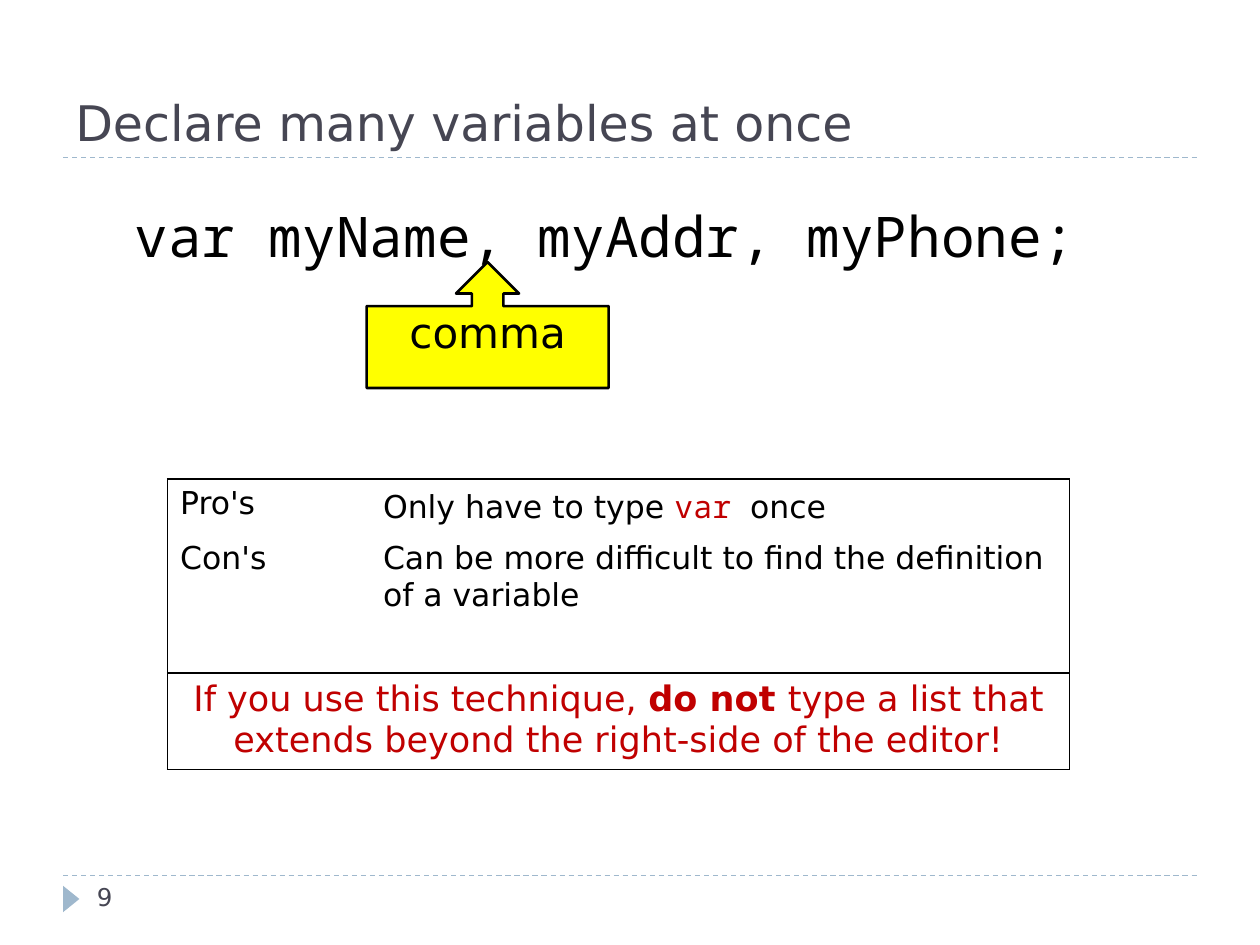
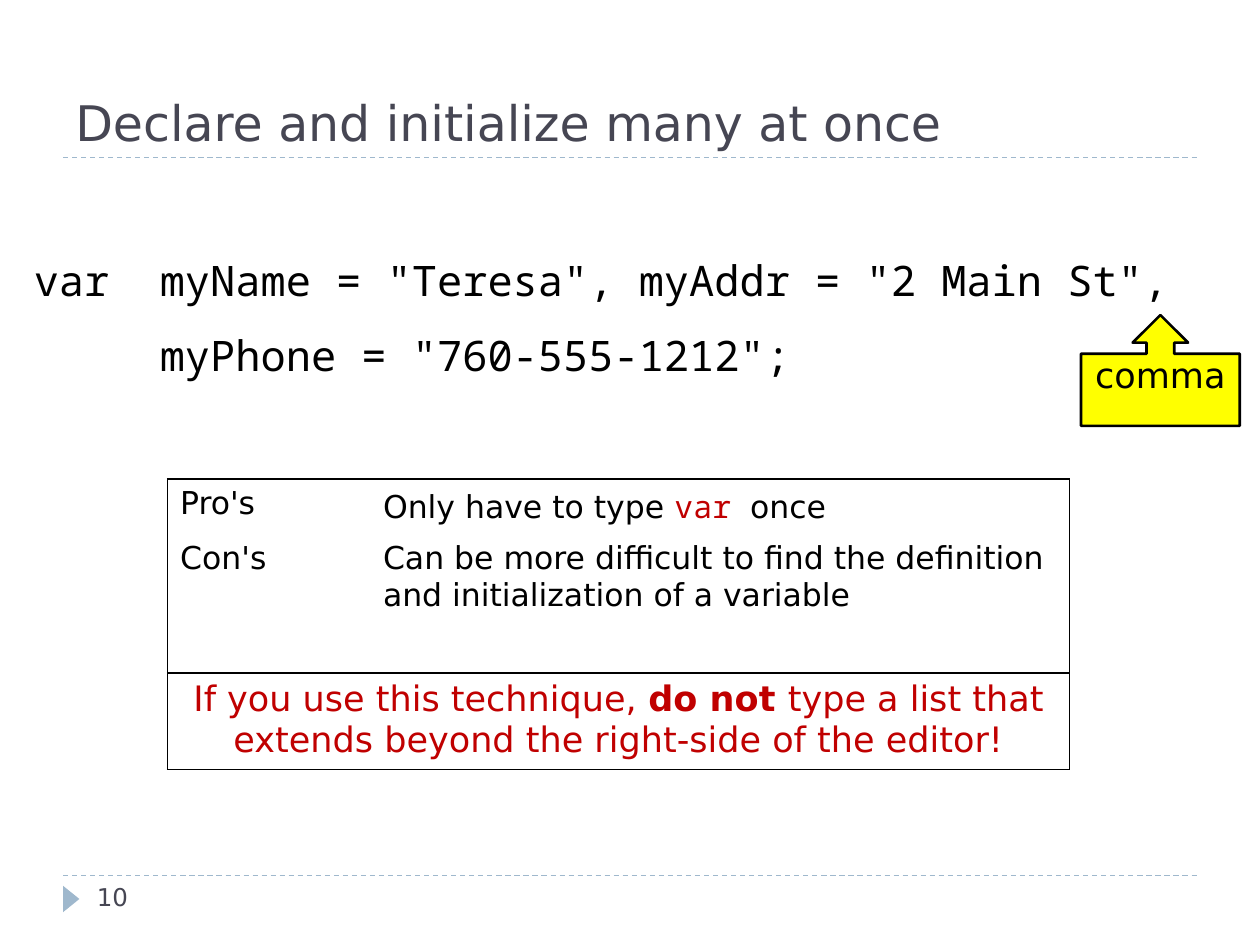
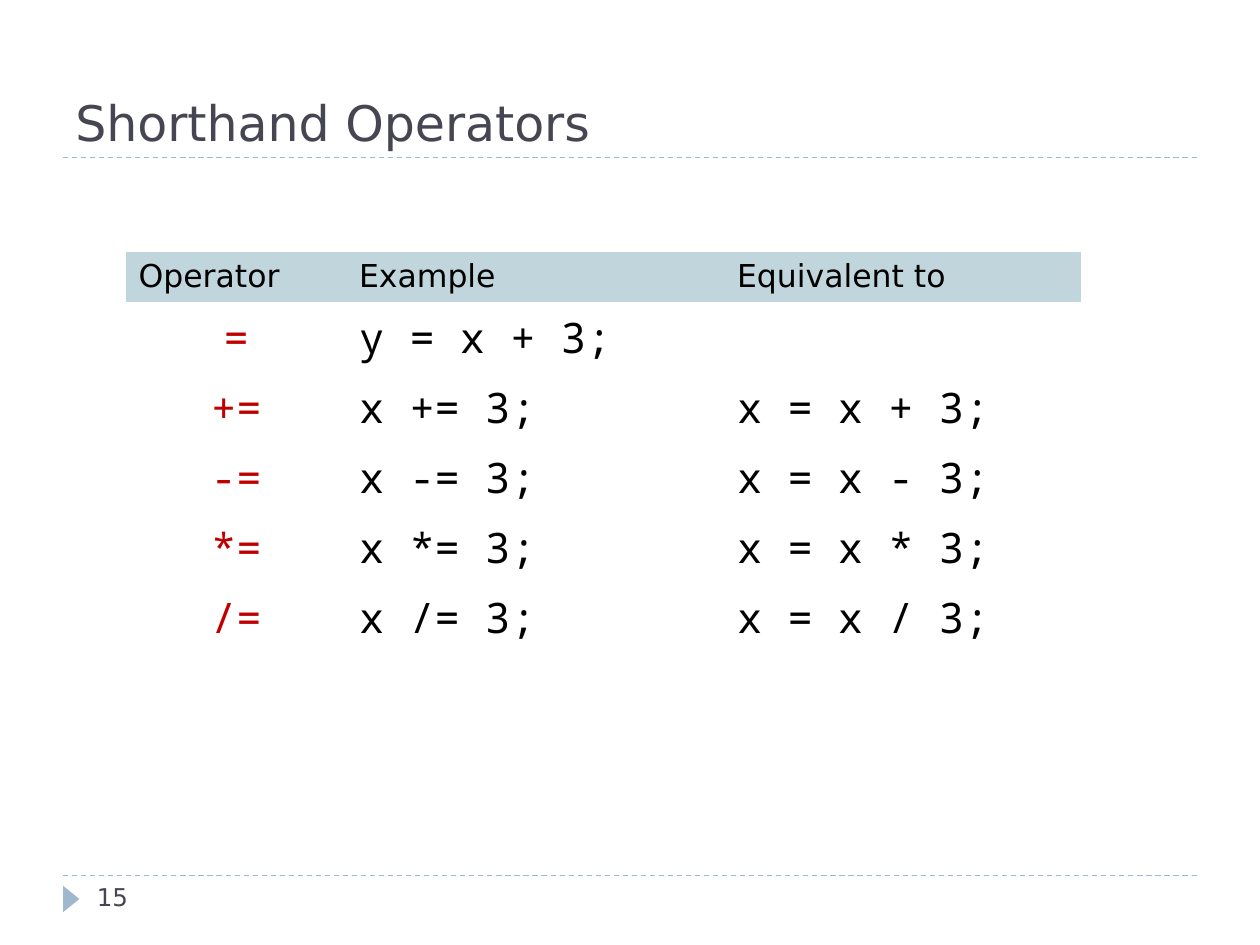
"""Build three slides on declaring variables and shorthand operators."""
from typing import NamedTuple

from lxml import etree
from pptx import Presentation
from pptx import util as u
from pptx.dml import color
from pptx.enum import dml, shapes, text
from pptx.oxml import ns

Pt = u.Pt
SANS, MONO = "DejaVu Sans", "Noto Sans Mono"
BLACK, RED, SLATE = "000000", "C00000", "464653"
BLUE, PALE, YELLOW = "9FB8CD", "C0D6DC", "FFFF00"
PLAIN = "{2D5ABB26-0587-4C30-8999-92F81FD0307C}"
LEFT, CENTER = text.PP_ALIGN.LEFT, text.PP_ALIGN.CENTER
TOP, BOTTOM = text.MSO_ANCHOR.TOP, text.MSO_ANCHOR.BOTTOM


class Box(NamedTuple):
    """A place on the slide, in points."""
    x: float
    y: float
    w: float
    h: float

    def emu(self) -> list:
        """Give the four lengths to python-pptx."""
        return [Pt(v) for v in self]


class Run(NamedTuple):
    """A stretch of text in one style."""
    text: str
    size: float = 18
    tint: str = BLACK
    font: str = SANS
    bold: bool = False


class Line(NamedTuple):
    """A line of code with its left margin and first-line indent."""
    text: str
    left: float
    hang: float = 0


class Code(NamedTuple):
    """A block of code lines."""
    lines: list[Line]
    size: float
    top: float


class Call(NamedTuple):
    """A callout that points up at a comma."""
    box: Box
    size: float


class Page(NamedTuple):
    """A slide that shows a way to declare variables."""
    num: str
    title: str
    code: Code
    call: Call
    con: str


TITLE = Box(36, 12.24, 648, 77.76)
BODY = Box(12.24, 95.76, 684, 388.8)
NUM = Box(48.24, 500.4, 156.24, 28.8)
MARK = Box(33.12, 509.04, 15.12, 9.36)
RULES = (500.4, 90)
NOTES = Box(95.76, 273.6, 515.52, 163)
OPS = Box(72, 144, 545.76, 228)

PAGES = [
    Page("9", "Declare many variables at once",
         Code([Line("var myName, myAddr, myPhone;", 57.6)], 32, 0),
         Call(Box(209.52, 149.76, 138.24, 72), 24),
         "Can be more difficult to find the definition of a variable"),
    Page("10", "Declare and initialize many at once",
         Code([Line('var\tmyName = "Teresa", myAddr = "2 Main St",', 72, -72),
               Line('myPhone = "760-555-1212";', 72)], 24, 35),
         Call(Box(617.76, 180, 90.72, 63.36), 20),
         "Can be more difficult to find the definition and "
         "initialization of a variable"),
]
HEADS = ("Operator", "Example", "Equivalent to")
SIGNS = ("+", "-", "*", "/")


def rgb(tint: str) -> color.RGBColor:
    """Turn a hex string into a colour."""
    return color.RGBColor.from_string(tint)


def write(para, runs: list[Run], align=LEFT) -> None:
    """Add runs to a paragraph."""
    para.alignment = align
    for item in runs:
        run = para.add_run()
        run.text = item.text
        font = run.font
        font.name, font.size, font.bold = item.font, Pt(item.size), item.bold
        font.color.rgb = rgb(item.tint)


def label(slide, box: Box, run: Run, anchor=TOP) -> None:
    """Add a text box with one run."""
    frame = slide.shapes.add_textbox(*box.emu()).text_frame
    frame.word_wrap, frame.vertical_anchor = True, anchor
    write(frame.paragraphs[0], [run])


def rule(slide, y: float) -> None:
    """Draw a dashed line across the slide."""
    line = slide.shapes.add_connector(
        shapes.MSO_CONNECTOR.STRAIGHT, Pt(36), Pt(y), Pt(684), Pt(y))
    line.line.color.rgb = rgb(BLUE)
    line.line.width = Pt(0.75)
    line.line.dash_style = dml.MSO_LINE.DASH
    etree.SubElement(line._element.spPr, ns.qn("a:effectLst"))


def shape(slide, kind, box: Box, tint: str):
    """Add a filled shape without line or shadow."""
    item = slide.shapes.add_shape(kind, *box.emu())
    item.shadow.inherit = False
    item.fill.solid()
    item.fill.fore_color.rgb = rgb(tint)
    item.line.fill.background()
    return item


def start(deck, title: str, num: str):
    """Add a slide with its rules, marker, title and number."""
    slide = deck.slides.add_slide(deck.slide_layouts[6])
    for y in RULES:
        rule(slide, y)
    mark = shape(slide, shapes.MSO_SHAPE.ISOSCELES_TRIANGLE, MARK, BLUE)
    mark.rotation = 90
    label(slide, TITLE, Run(title, 28, SLATE), BOTTOM)
    label(slide, NUM, Run(num, 14, SLATE))
    return slide


def listing(slide, code: Code) -> None:
    """Add the lines of code."""
    frame = slide.shapes.add_textbox(*BODY.emu()).text_frame
    frame.word_wrap, frame.margin_top = True, Pt(code.top)
    for i, line in enumerate(code.lines):
        para = frame.add_paragraph() if i else frame.paragraphs[0]
        para.line_spacing = 1.5
        write(para, [Run(line.text, code.size, BLACK, MONO)])
        props = para._p.get_or_add_pPr()
        props.set("marL", str(Pt(line.left)))
        props.set("indent", str(Pt(line.hang)))


def callout(slide, call: Call) -> None:
    """Add a yellow arrow callout."""
    item = shape(slide, shapes.MSO_SHAPE.UP_ARROW_CALLOUT, call.box, YELLOW)
    item.line.color.rgb = rgb(BLACK)
    item.line.width = Pt(1.5)
    frame = item.text_frame
    frame.vertical_anchor, frame.word_wrap = TOP, True
    frame.margin_top = frame.margin_left = frame.margin_right = 0
    write(frame.paragraphs[0], [Run("comma", call.size)], CENTER)


def grid(slide, box: Box, cols: list[float], rows: list[float]):
    """Add a bare table."""
    table = slide.shapes.add_table(len(rows), len(cols), *box.emu()).table
    table._tbl.tblPr.find(ns.qn("a:tableStyleId")).text = PLAIN
    table.first_row = table.horz_banding = False
    for col, width in zip(table.columns, cols):
        col.width = Pt(width)
    for row, height in zip(table.rows, rows):
        row.height = Pt(height)
    for cell in table.iter_cells():
        cell.fill.background()
    return table


def edge(cell, sides: str) -> None:
    """Draw black borders on the given sides, in LRTB order."""
    props = cell._tc.get_or_add_tcPr()
    for i, side in enumerate(sides):
        line = etree.Element(ns.qn(f"a:ln{side}"), w=str(Pt(1)))
        fill = etree.SubElement(line, ns.qn("a:solidFill"))
        etree.SubElement(fill, ns.qn("a:srgbClr"), val=BLACK)
        props.insert(i, line)


def notes(slide, con: str) -> None:
    """Add the table of pros and cons."""
    table = grid(slide, NOTES, [115.92, 399.6], [31.7, 49.2, 28.2, 53.8])
    rows = [
        ([Run("Pro's")], [Run("Only have to type "),
                          Run("var ", tint=RED, font=MONO), Run("once")]),
        ([Run("Con's")], [Run(con)]),
    ]
    for r, row in enumerate(rows):
        for c, runs in enumerate(row):
            write(table.cell(r, c).text_frame.paragraphs[0], runs)
    for r, side in enumerate(("T", "", "B")):
        edge(table.cell(r, 0), "L" + side)
        edge(table.cell(r, 1), "R" + side)
    last = table.cell(3, 0)
    last.merge(table.cell(3, 1))
    for c in range(2):
        edge(table.cell(3, c), "LRTB")
    write(last.text_frame.paragraphs[0], [
        Run("If you use this technique, ", 20, RED),
        Run("do not ", 20, RED, bold=True),
        Run("type a list that extends beyond the right-side of the editor!",
            20, RED)], CENTER)


def signs(slide) -> None:
    """Add the table of operators."""
    rows = [("=", "y = x + 3;", "")]
    rows += [(f"{s}=", f"x {s}= 3;", f"x = x {s} 3;") for s in SIGNS]
    table = grid(slide, OPS, [126, 216, 203.76], [28] + [40] * len(rows))
    for c, head in enumerate(HEADS):
        cell = table.cell(0, c)
        cell.fill.solid()
        cell.fill.fore_color.rgb = rgb(PALE)
        write(cell.text_frame.paragraphs[0], [Run(head)])
    for r, row in enumerate(rows, 1):
        for c, word in enumerate(row):
            if word:
                tint, align = (BLACK, LEFT) if c else (RED, CENTER)
                write(table.cell(r, c).text_frame.paragraphs[0],
                      [Run(word, 24, tint, MONO)], align)


def main() -> None:
    """Build and save the deck."""
    deck = Presentation()
    deck.slide_width, deck.slide_height = Pt(720), Pt(540)
    for page in PAGES:
        slide = start(deck, page.title, page.num)
        listing(slide, page.code)
        callout(slide, page.call)
        notes(slide, page.con)
    signs(start(deck, "Shorthand Operators", "15"))
    deck.save("out.pptx")


if __name__ == "__main__":
    main()
